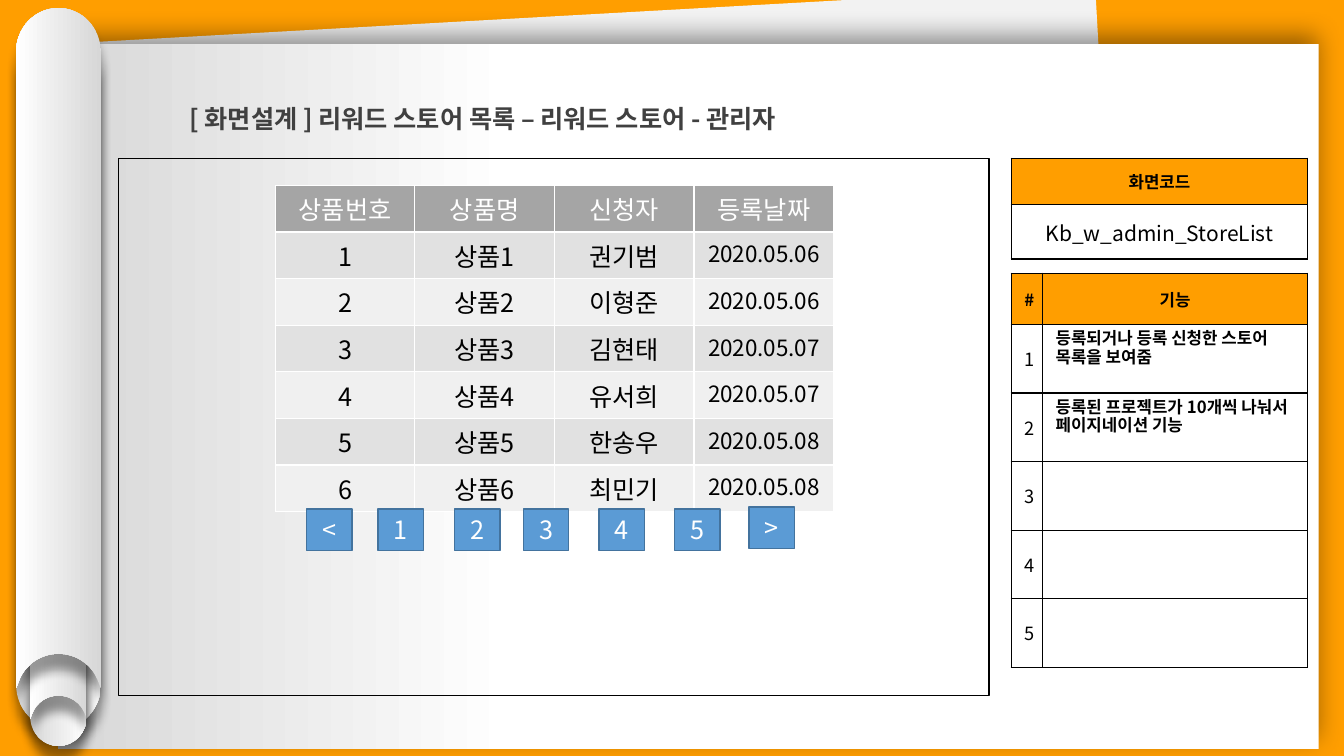
from lxml.etree import SubElement
from pptx import Presentation
from pptx.dml.color import RGBColor
from pptx.enum.shapes import MSO_SHAPE
from pptx.enum.text import MSO_ANCHOR, PP_ALIGN
from pptx.oxml.ns import qn
from pptx.util import Inches, Pt

FONT = "Noto Sans CJK KR"
COLORS = {
    "orange": "FF9E00", "back": "F2F2F2", "white": "FFFFFF", "shade": "D7D7D7",
    "black": "000000", "title": "404040", "header": "A5A5A5", "odd": "E1E1E1",
    "even": "F0F0F0", "button": "5B9BD5", "button_line": "43739E",
}
PRODUCTS = [
    ("권기범", "2020.05.06"), ("이형준", "2020.05.06"), ("김현태", "2020.05.07"),
    ("유서희", "2020.05.07"), ("한송우", "2020.05.08"), ("최민기", "2020.05.08"),
]
FEATURES = [
    "등록되거나 등록 신청한 스토어 목록을 보여줌",
    "등록된 프로젝트가 10개씩 나눠서 페이지네이션 기능",
    "", "", "",
]
PAGER = [("<", 3.04, 5.05), ("1", 3.75, 5.05), ("2", 4.51, 5.05), ("3", 5.19, 5.05),
         ("4", 5.94, 5.05), ("5", 6.69, 5.05), (">", 7.43, 5.03)]


def rgb(name):
    return RGBColor.from_string(COLORS[name])


def write(tf, text, size=18, color="black", bold=False, align=PP_ALIGN.CENTER, spacing=None):
    p = tf.paragraphs[0]
    p.alignment = align
    if spacing:
        p.line_spacing = spacing
    r = p.add_run()
    r.text = text
    r.font.size = Pt(size)
    r.font.bold = bold
    r.font.name = FONT
    r.font.color.rgb = rgb(color)
    SubElement(r.font._element, qn("a:ea"), typeface=FONT)


def style(sp, fill=None, line=None, width=1):
    sp.shadow.inherit = False
    if fill:
        sp.fill.solid()
        sp.fill.fore_color.rgb = rgb(fill)
    else:
        sp.fill.background()
    if line:
        sp.line.color.rgb = rgb(line)
        sp.line.width = Pt(width)
    else:
        sp.line.fill.background()


def add_rect(s, x, y, w, h, **look):
    sp = s.shapes.add_shape(MSO_SHAPE.RECTANGLE, Inches(x), Inches(y), Inches(w), Inches(h))
    style(sp, **look)
    return sp


def add_gradient(sp, stops):
    sp.fill.gradient()
    sp.fill.gradient_angle = 180
    for stop, (position, color) in zip(sp.fill.gradient_stops, stops):
        stop.position = position
        stop.color.rgb = rgb(color)


def add_shadow(sp, blur, distance, direction):
    effects = sp._element.spPr.find(qn("a:effectLst"))
    shadow = SubElement(effects, qn("a:outerShdw"), blurRad=str(Pt(blur)), dist=str(Pt(distance)),
                        dir=str(direction * 60000), algn="ctr", rotWithShape="0")
    color = SubElement(shadow, qn("a:srgbClr"), val=COLORS["black"])
    SubElement(color, qn("a:alpha"), val="40000")


def set_outline(sp, steps):
    outline = sp._element.spPr.find(f".//{qn('a:path')}")
    for child in list(outline):
        outline.remove(child)
    for command, *points in steps:
        step = SubElement(outline, qn(f"a:{command}"))
        for x, y in points:
            SubElement(step, qn("a:pt"), x=str(Inches(x)), y=str(Inches(y)))


def add_roll(s, x, y, w, h, rotation=0):
    corners = [(x + w, y), (x + w, y + h), (x, y + h)]
    builder = s.shapes.build_freeform(Inches(x), Inches(y))
    builder.add_line_segments([(Inches(a), Inches(b)) for a, b in corners], close=True)
    sp = builder.convert_to_shape()
    cap, mid = w * 0.52, w / 2
    set_outline(sp, [
        ("moveTo", (mid, 0)),
        ("cubicBezTo", (w * 0.78, 0), (w, cap * 0.45), (w, cap)),
        ("lnTo", (w, h)),
        ("lnTo", (w * 0.97, h - w * 0.08)),
        ("cubicBezTo", (w * 0.9, h - w * 0.28), (w * 0.71, h - w * 0.41), (mid, h - w * 0.41)),
        ("cubicBezTo", (w * 0.29, h - w * 0.41), (w * 0.1, h - w * 0.28), (w * 0.03, h - w * 0.08)),
        ("lnTo", (0, h)),
        ("lnTo", (0, cap)),
        ("cubicBezTo", (0, cap * 0.45), (w * 0.22, 0), (mid, 0)),
        ("close",),
    ])
    style(sp)
    add_gradient(sp, [(0, "shade"), (1, "white")])
    add_shadow(sp, 7, 11, 90)
    sp.rotation = rotation


def add_grid(s, x, y, cols, rows, border, width):
    frame = s.shapes.add_table(len(rows), len(cols), Inches(x), Inches(y),
                               Inches(sum(cols)), Inches(sum(rows)))
    table = frame.table
    table.first_row = table.horz_banding = False
    for column, size in zip(table.columns, cols):
        column.width = Inches(size)
    for row, size in zip(table.rows, rows):
        row.height = Inches(size)
    for cell in table.iter_cells():
        tc_pr = cell._tc.get_or_add_tcPr()
        for side in ("lnL", "lnR", "lnT", "lnB"):
            ln = SubElement(tc_pr, qn(f"a:{side}"), w=str(Pt(width)))
            fill = SubElement(ln, qn("a:solidFill"))
            SubElement(fill, qn("a:srgbClr"), val=COLORS[border])
    return table


def fill_cell(cell, text, fill=None, roomy=False, middle=True, **fmt):
    if fill:
        cell.fill.solid()
        cell.fill.fore_color.rgb = rgb(fill)
    else:
        cell.fill.background()
    if roomy:
        cell.margin_left = cell.margin_right = Inches(0.13)
        cell.margin_top = cell.margin_bottom = Inches(0.07)
        cell.vertical_anchor = MSO_ANCHOR.MIDDLE if middle else MSO_ANCHOR.TOP
    if text:
        write(cell.text_frame, text, **fmt)


def add_scroll(s):
    add_rect(s, 0.91, 0.14, 10.15, 6.8, fill="back").rotation = 356.8
    paper = add_rect(s, 0.58, 0.44, 12.5, 6.99)
    add_gradient(paper, [(0.64, "white"), (1, "shade")])
    add_shadow(paper, 18, 6, 270)
    add_roll(s, 0.16, 0.48, 0.84, 6.75, rotation=180)
    add_roll(s, 0.3, 2.88, 0.56, 4.52, rotation=180)
    add_roll(s, 0.3, 2.61, 0.56, 4.52)
    add_roll(s, 0.16, 0.08, 0.84, 6.75)


def add_screen_code(s):
    table = add_grid(s, 10.03, 1.57, [2.94], [0.46, 0.54], "black", 1)
    fill_cell(table.cell(0, 0), "화면코드", fill="orange", roomy=True, size=12, bold=True)
    fill_cell(table.cell(1, 0), "Kb_w_admin_StoreList", roomy=True, size=15)


def add_features(s):
    table = add_grid(s, 10.03, 2.71, [0.31, 2.63], [0.51] + [0.68] * 5, "black", 1)
    for col, text in enumerate(["#", "기능"]):
        fill_cell(table.cell(0, col), text, fill="orange", roomy=True, size=12, bold=True)
    for row, text in enumerate(FEATURES, 1):
        fill_cell(table.cell(row, 0), str(row), roomy=True, size=13)
        fill_cell(table.cell(row, 1), text, roomy=True, middle=False, size=12, bold=True,
                  align=PP_ALIGN.LEFT, spacing=Pt(13))


def add_products(s):
    table = add_grid(s, 2.73, 1.84, [5.54 / 4] * 4, [0.41, 0.38, 0.41, 0.41, 0.41, 0.37, 0.37],
                     "white", 1)
    for col, text in enumerate(["상품번호", "상품명", "신청자", "등록날짜"]):
        fill_cell(table.cell(0, col), text, fill="header", color="white")
    for row, (person, date) in enumerate(PRODUCTS, 1):
        band = "odd" if row % 2 else "even"
        for col, text in enumerate([str(row), f"상품{row}", person, date]):
            fill_cell(table.cell(row, col), text, fill=band, size=16 if col == 3 else 18)


def add_pager(s):
    for label, x, y in PAGER:
        sp = add_rect(s, x, y, 0.45, 0.41, fill="button", line="button_line")
        sp.text_frame.vertical_anchor = MSO_ANCHOR.MIDDLE
        write(sp.text_frame, label, color="white")


def add_title(s):
    box = s.shapes.add_textbox(Inches(1.81), Inches(0.83), Inches(7.21), Inches(0.49))
    tf = box.text_frame
    tf.word_wrap = True
    tf.margin_left = tf.margin_right = Inches(0.07)
    tf.margin_top = tf.margin_bottom = Inches(0.04)
    write(tf, "[ 화면설계 ] 리워드 스토어 목록 – 리워드 스토어 - 관리자", color="title",
          bold=True, align=PP_ALIGN.LEFT, spacing=1.5)


def main():
    prs = Presentation()
    prs.slide_width, prs.slide_height = Inches(13.33), Inches(7.5)
    s = prs.slides.add_slide(prs.slide_layouts[6])
    s.background.fill.solid()
    s.background.fill.fore_color.rgb = rgb("orange")
    add_scroll(s)
    add_screen_code(s)
    add_rect(s, 1.18, 1.57, 8.63, 5.33, line="black", width=0.75)
    add_features(s)
    add_products(s)
    add_pager(s)
    add_title(s)
    prs.save("out.pptx")


if __name__ == "__main__":
    main()
